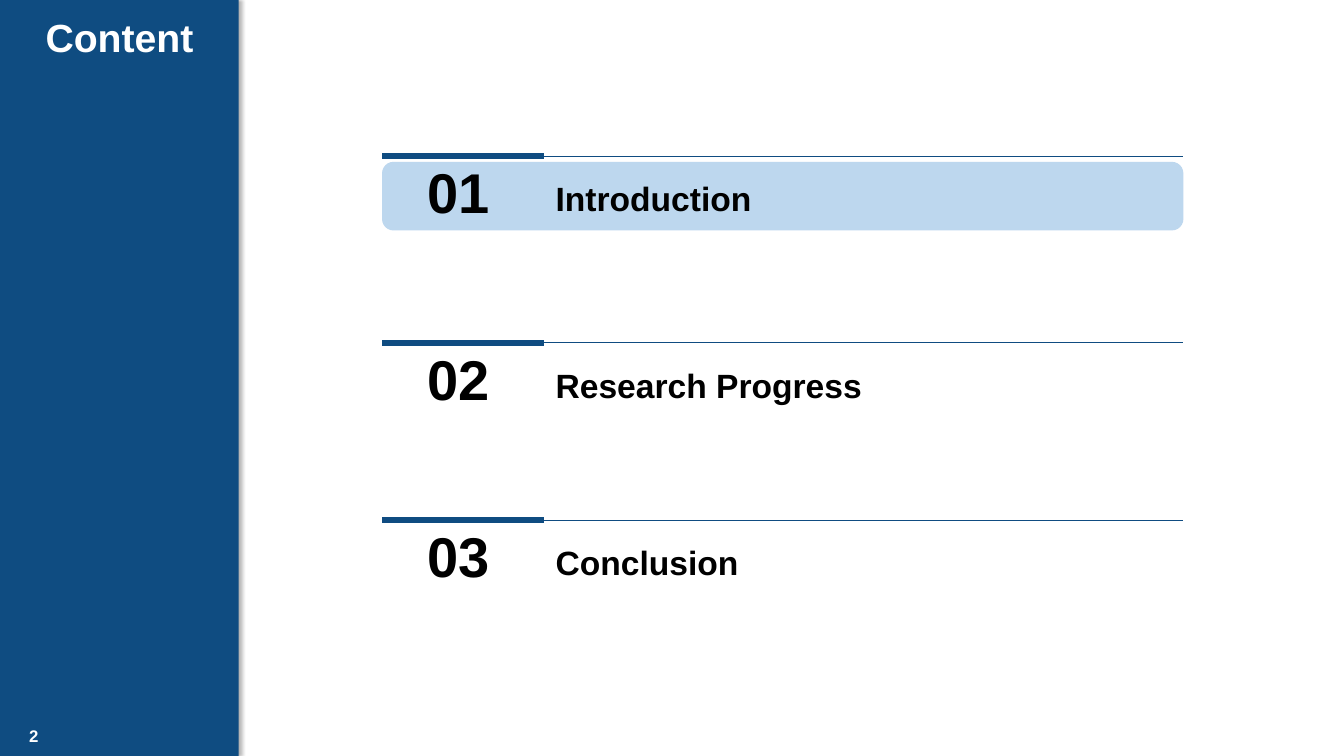
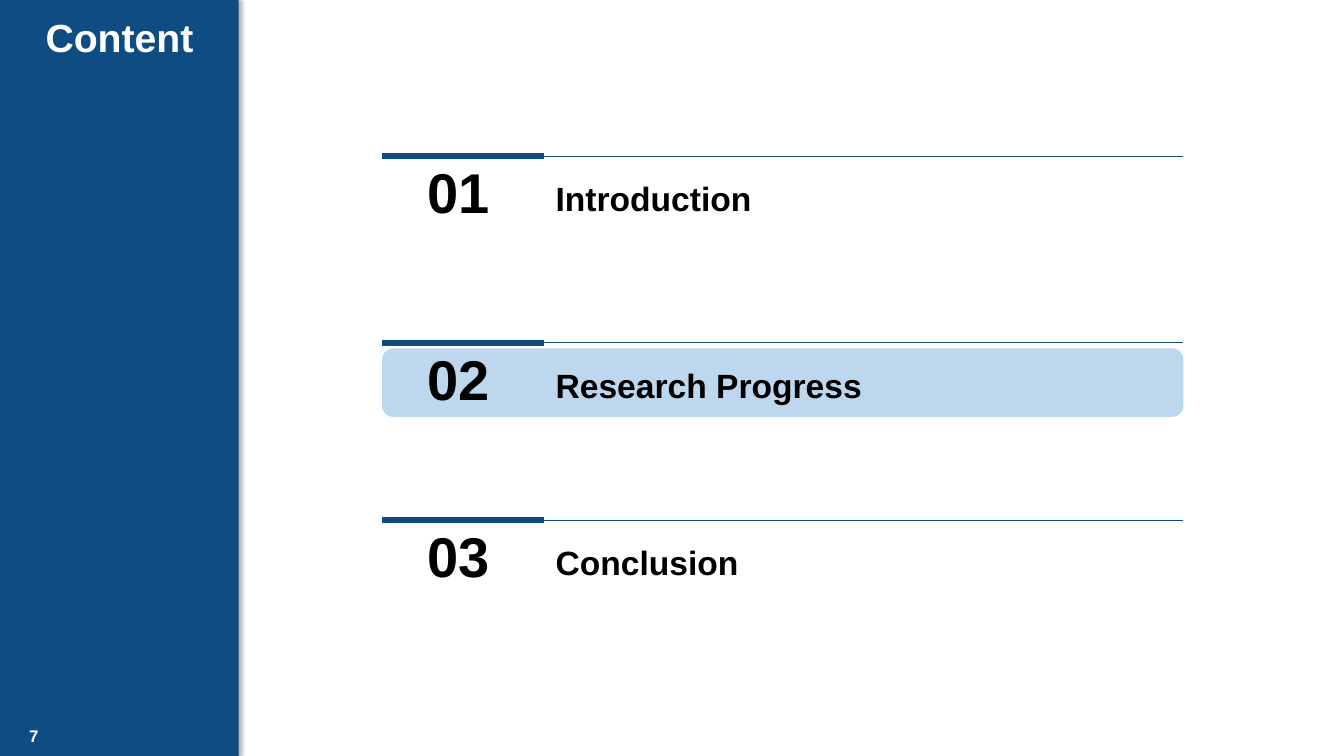
"""Build the two agenda slides, each with its current section marked."""
from lxml import etree
from pptx import Presentation
from pptx.dml.color import RGBColor
from pptx.enum import shapes, text
from pptx.oxml import ns
from pptx.util import Pt

ITEMS = [
    ("01", "Introduction", 111.6),
    ("02", "Research Progress", 244.8),
    ("03", "Conclusion", 371.5),
]
SLIDES = [("2", 0), ("7", 1)]
BLUE, PALE, WHITE, BLACK = "0F4C81", "BDD7EE", "FFFFFF", "000000"
FONT = "Arial"
WIDE, HIGH = 960, 540
LEFT, MID, RIGHT = 272.9, 388.8, 845.3
BANDS = [38.2, 170.6]


def color(code):
    return RGBColor.from_string(code)


def place(shape, left, top, width, height):
    shape.left, shape.top = Pt(left), Pt(top)
    shape.width, shape.height = Pt(width), Pt(height)


def write(shape, words, size, code, anchor, align, wrap=True):
    frame = shape.text_frame
    frame.word_wrap = wrap
    frame.auto_size = text.MSO_AUTO_SIZE.NONE
    frame.vertical_anchor = anchor
    para = frame.paragraphs[0]
    para.alignment = align
    run = para.add_run()
    run.text = words
    font = run.font
    font.name, font.size, font.bold = FONT, Pt(size), True
    font.color.rgb = color(code)
    return para


def block(parent, kind, box, code=None):
    shape = parent.add_shape(kind, *map(Pt, box))
    shape.shadow.inherit = False
    shape.line.fill.background()
    if code:
        shape.fill.solid()
        shape.fill.fore_color.rgb = color(code)
    else:
        shape.fill.background()
    return shape


def rule(parent, right, top, width):
    line = parent.add_connector(shapes.MSO_CONNECTOR.STRAIGHT,
                                Pt(LEFT), Pt(top), Pt(right), Pt(top))
    line.line.color.rgb = color(BLUE)
    line.line.width = Pt(width)
    etree.SubElement(line.element.spPr, ns.qn("a:effectLst"))


def shade(shape):
    fx = shape.element.spPr.find(ns.qn("a:effectLst"))
    cast = etree.SubElement(fx, ns.qn("a:outerShdw"), blurRad=str(Pt(3)),
                            dist=str(Pt(2)), dir="0", algn="l", rotWithShape="0")
    tint = etree.SubElement(cast, ns.qn("a:srgbClr"), val=BLACK)
    etree.SubElement(tint, ns.qn("a:alpha"), val="30000")


def set_bands(slide, layout):
    for spot, width in enumerate(BANDS, 2):
        band = block(slide.shapes, shapes.MSO_SHAPE.RECTANGLE,
                     (0, 0, width, HIGH), BLUE)
        shade(band)
        layout.shapes.element.insert(spot, band.element)


def add_item(slide, number, label, top):
    group = slide.shapes.add_group_shape().shapes
    rule(group, RIGHT, top, 0.5)
    rule(group, MID, top, 4.25)
    box = group.add_textbox(Pt(298.1), Pt(top - 2.9), Pt(59.8), Pt(55.4))
    write(box, number, 40, BLACK, text.MSO_ANCHOR.BOTTOM,
          text.PP_ALIGN.LEFT, False)
    name = block(group, shapes.MSO_SHAPE.ROUNDED_RECTANGLE,
                 (MID, top + 11.3, RIGHT - MID, 38.2))
    name.adjustments[0] = 0.09
    write(name, label, 24, BLACK, text.MSO_ANCHOR.TOP, text.PP_ALIGN.LEFT)


def fill_slide(slide, page, active):
    middle, center = text.MSO_ANCHOR.MIDDLE, text.PP_ALIGN.CENTER
    block(slide.shapes, shapes.MSO_SHAPE.ROUNDED_RECTANGLE,
          (LEFT, ITEMS[active][2] + 4, RIGHT - LEFT, 49), PALE)
    title = slide.shapes.title
    place(title, 17.3, 4.3, 136.1, 48.2)
    write(title, "Content", 28, WHITE, middle, center).line_spacing = 0.9
    foot = slide.shapes.add_textbox(0, Pt(511.2), Pt(48.2), Pt(28.8))
    write(foot, page, 12, WHITE, middle, center)
    for item in ITEMS:
        add_item(slide, *item)


def main():
    deck = Presentation()
    deck.slide_width, deck.slide_height = Pt(WIDE), Pt(HIGH)
    layout = deck.slide_layouts.get_by_name("Title Only")
    for spot, (page, active) in enumerate(SLIDES):
        slide = deck.slides.add_slide(layout)
        if spot == 0:
            set_bands(slide, layout)
        fill_slide(slide, page, active)
    deck.save("out.pptx")


if __name__ == "__main__":
    main()
